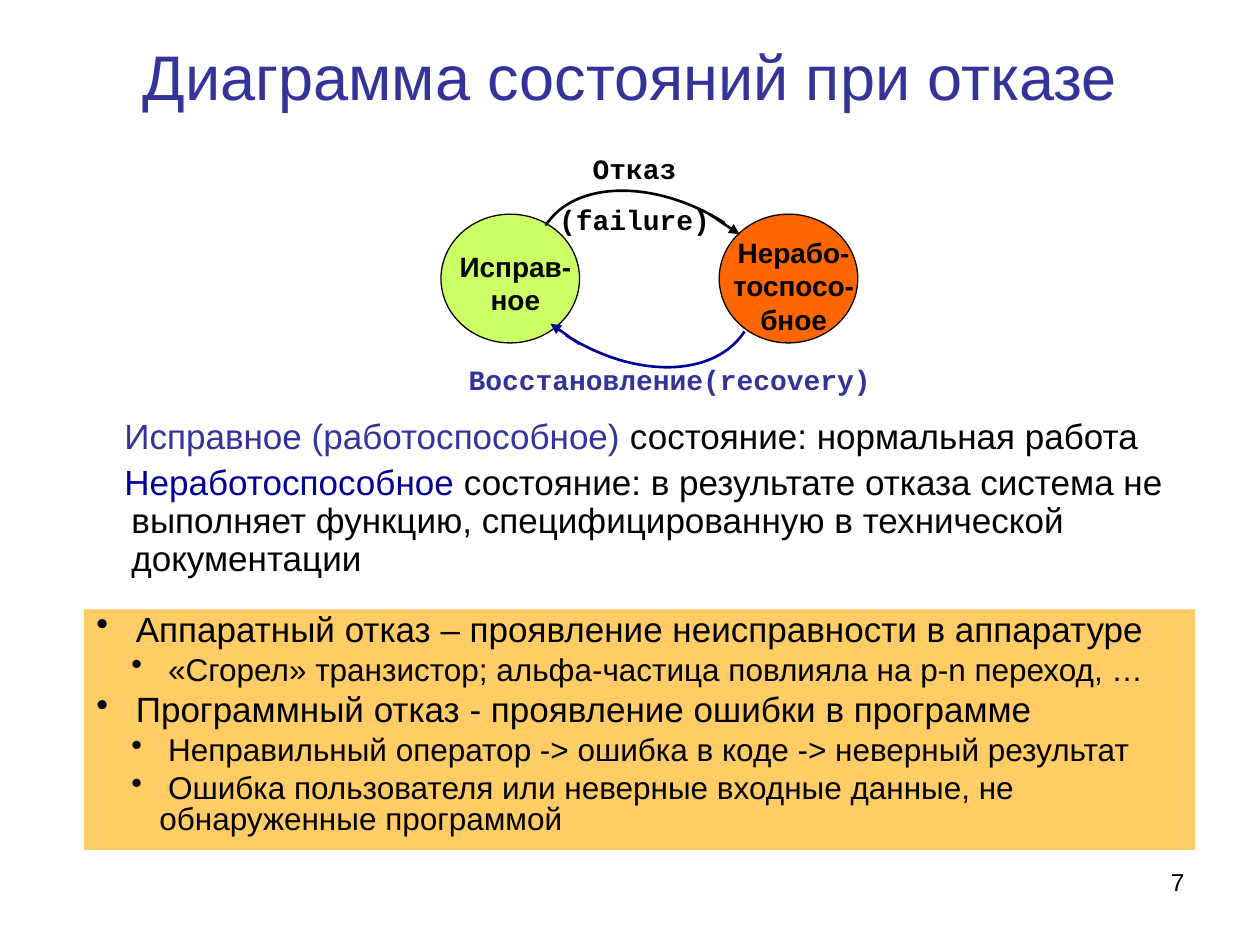
from lxml import etree
from pptx import Presentation
from pptx.dml.color import RGBColor
from pptx.enum.shapes import MSO_CONNECTOR, MSO_SHAPE
from pptx.enum.text import MSO_ANCHOR, MSO_AUTO_SIZE, PP_ALIGN
from pptx.oxml.ns import qn
from pptx.util import Pt

OVAL, RECT = MSO_SHAPE.OVAL, MSO_SHAPE.RECTANGLE
STRAIGHT = MSO_CONNECTOR.STRAIGHT
LEFT, CENTER, RIGHT = PP_ALIGN.LEFT, PP_ALIGN.CENTER, PP_ALIGN.RIGHT
TOP, MIDDLE = MSO_ANCHOR.TOP, MSO_ANCHOR.MIDDLE
FIXED = MSO_AUTO_SIZE.NONE

BLACK, INDIGO, NAVY = "000000", "333399", "000099"
LIME, ORANGE, SAND = "CCFF66", "FF6600", "FFCC66"
SANS, MONO = "Arial", "Courier New"


def color(hex_string):
    return RGBColor.from_string(hex_string)


class StateSlide:
    def __init__(self, presentation):
        self.slide = presentation.slides.add_slide(presentation.slide_layouts[5])
        self.shapes = self.slide.shapes
        self.curve_steps = 32
        self.arrow_width = 1.5

    def style_paragraph(self, paragraph, size, ink=BLACK, font=SANS, bold=False,
                        align=LEFT, before=0, spacing=1.0, margin=0, indent=0,
                        bullet=None):
        paragraph.alignment = align
        paragraph.space_before = Pt(before)
        paragraph.line_spacing = spacing
        properties = paragraph._p.get_or_add_pPr()
        properties.set("marL", str(Pt(margin)))
        properties.set("indent", str(Pt(indent)))
        if bullet:
            etree.SubElement(properties, qn("a:buChar")).set("char", bullet)
        paragraph.font.size = Pt(size)
        paragraph.font.name = font
        paragraph.font.bold = bold
        paragraph.font.color.rgb = color(ink)

    def set_text(self, frame, paragraphs, anchor=TOP):
        frame.word_wrap = True
        frame.auto_size = FIXED
        frame.vertical_anchor = anchor
        for index, (content, style) in enumerate(paragraphs):
            paragraph = frame.paragraphs[0] if index == 0 else frame.add_paragraph()
            self.style_paragraph(paragraph, **style)
            if isinstance(content, str):
                paragraph.add_run().text = content
                continue
            for words, ink in content:
                run = paragraph.add_run()
                run.text = words
                run.font.color.rgb = color(ink)

    def title(self, box, words, **style):
        title = self.shapes.title
        title.left, title.top, title.width, title.height = map(Pt, box)
        self.set_text(title.text_frame, [(words, style)], MIDDLE)

    def text(self, box, paragraphs):
        self.set_text(self.shapes.add_textbox(*map(Pt, box)).text_frame, paragraphs)

    def block(self, kind, box, fill, outline=None):
        block = self.shapes.add_shape(kind, *map(Pt, box))
        block.shadow.inherit = False
        block.fill.solid()
        block.fill.fore_color.rgb = color(fill)
        if outline:
            block.line.color.rgb = color(outline)
            block.line.width = Pt(0.75)
        else:
            block.line.fill.background()
        return block

    def panel(self, box, fill, paragraphs):
        self.set_text(self.block(RECT, box, fill).text_frame, paragraphs)

    def state(self, left, label, label_top, fill):
        self.block(OVAL, (left, 122.4, 79.2, 73.6), fill, BLACK)
        style = dict(size=16, bold=True, align=CENTER, before=10)
        self.text((left, label_top, 85, 334.8 - 2 * label_top), [(label, style)])

    def curve(self, controls, ink):
        points = []
        for step in range(self.curve_steps + 1):
            t = step / self.curve_steps
            weights = ((1 - t) ** 3, 3 * t * (1 - t) ** 2, 3 * t * t * (1 - t), t ** 3)
            points.append(tuple(
                Pt(sum(weight * value for weight, value in zip(weights, axis)))
                for axis in zip(*controls)))
        builder = self.shapes.build_freeform(*points[0])
        builder.add_line_segments(points[1:], close=False)
        arc = builder.convert_to_shape()
        arc.shadow.inherit = False
        arc.fill.background()
        arc.line.color.rgb = color(ink)
        arc.line.width = Pt(self.arrow_width)

    def arrow(self, start, end, ink):
        arrow = self.shapes.add_connector(STRAIGHT, *map(Pt, start + end))
        arrow.line.color.rgb = color(ink)
        arrow.line.width = Pt(self.arrow_width)
        properties = arrow.element.spPr
        outline = properties.find(qn("a:ln"))
        etree.SubElement(outline, qn("a:tailEnd")).set("type", "triangle")
        etree.SubElement(properties, qn("a:effectLst"))


def main():
    presentation = Presentation()
    presentation.slide_width, presentation.slide_height = Pt(720), Pt(540)
    page = StateSlide(presentation)

    page.title((36, -2, 648, 90), "Диаграмма состояний при отказе",
               size=36, ink=INDIGO, align=CENTER)

    definition = dict(size=20, before=5, spacing=0.9, margin=48, indent=-4)
    page.text((20, 236, 652.5, 102), [
        ([("Исправное (работоспособное) ", INDIGO),
          ("состояние: нормальная работа", BLACK)], definition),
        ([("Неработоспособное ", NAVY),
          ("состояние: в результате отказа система не выполняет функцию, "
           "специфицированную в технической документации", BLACK)], definition),
    ])

    failure = dict(size=20, before=5, spacing=0.8, margin=17, indent=-17, bullet="•")
    example = dict(size=18, before=4.5, spacing=0.8, margin=36, indent=-16, bullet="•")
    page.panel((48, 348.2, 635, 137.5), SAND, [
        (" Аппаратный отказ – проявление неисправности в аппаратуре", failure),
        (" «Сгорел» транзистор; альфа-частица повлияла на p-n переход, …", example),
        (" Программный отказ - проявление ошибки в программе", failure),
        (" Неправильный оператор -> ошибка в коде -> неверный результат", example),
        (" Ошибка пользователя или неверные входные данные, "
         "не обнаруженные программой", example),
    ])

    page.state(252, "Исправ-ное", 139, LIME)
    page.state(411, "Нерабо-тоспосо-бное", 131, ORANGE)

    transition = dict(size=16, font=MONO, bold=True, align=CENTER, before=10)
    page.curve([(414, 127.4), (374.4, 102.2), (328.3, 103), (311.8, 128.9)], BLACK)
    page.arrow((405.4, 122.4), (422.6, 133.9), BLACK)
    page.text((297.4, 82.8, 130.3, 55.4),
              [("Отказ", transition), ("(failure)", transition)])

    page.curve([(323.3, 191.5), (362.9, 216.7), (408.2, 216), (425.5, 189.4)], NAVY)
    page.arrow((331.2, 196.6), (314.6, 185), NAVY)
    page.text((229.7, 203.8, 306, 26.6),
              [("Восстановление(recovery)", dict(transition, ink=INDIGO))])

    page.text((516.2, 491.8, 167.8, 37.4), [("7", dict(size=14, align=RIGHT))])
    presentation.save("out.pptx")


if __name__ == "__main__":
    main()
